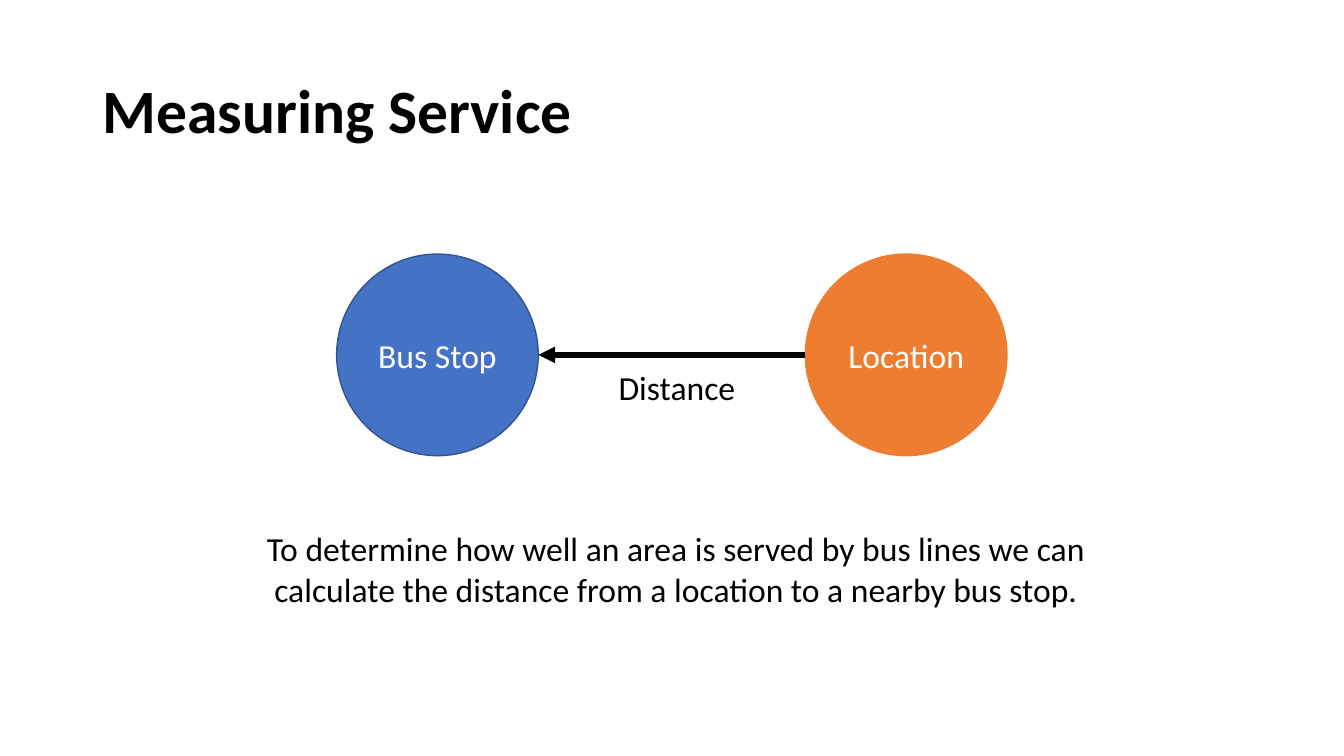
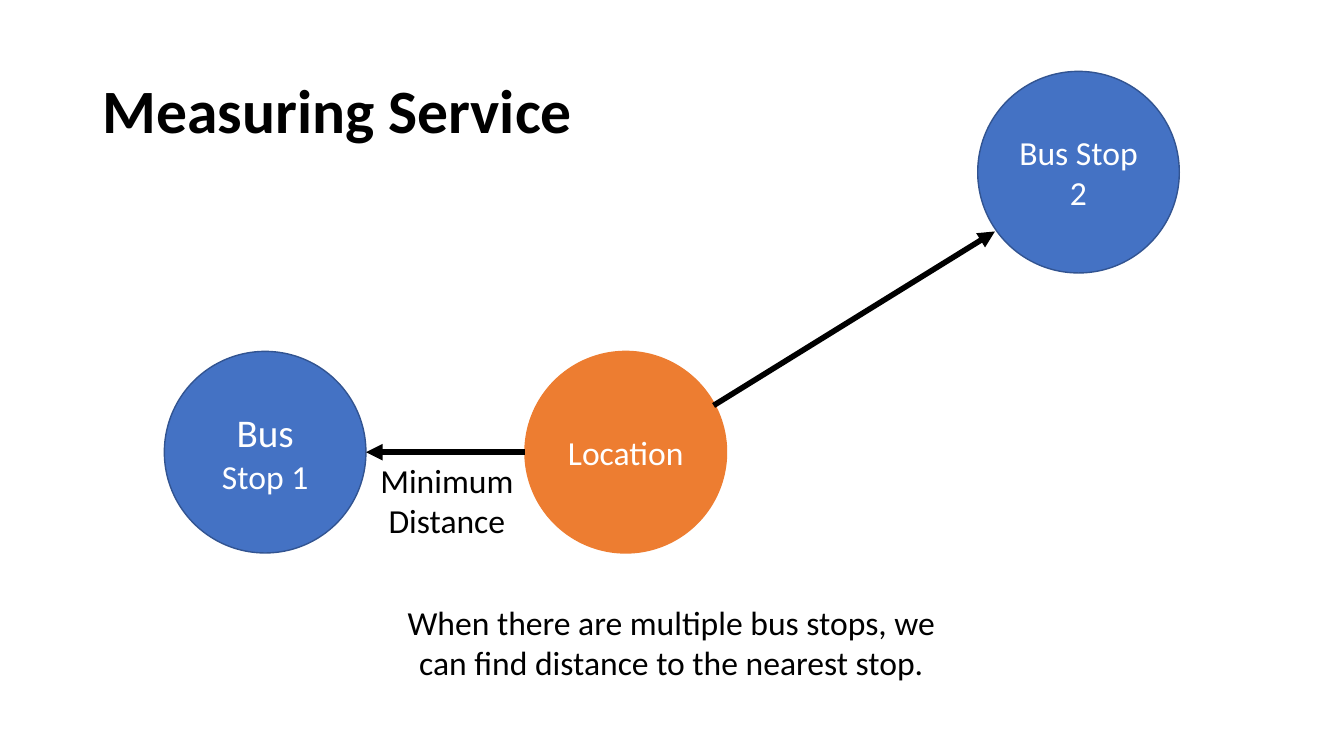
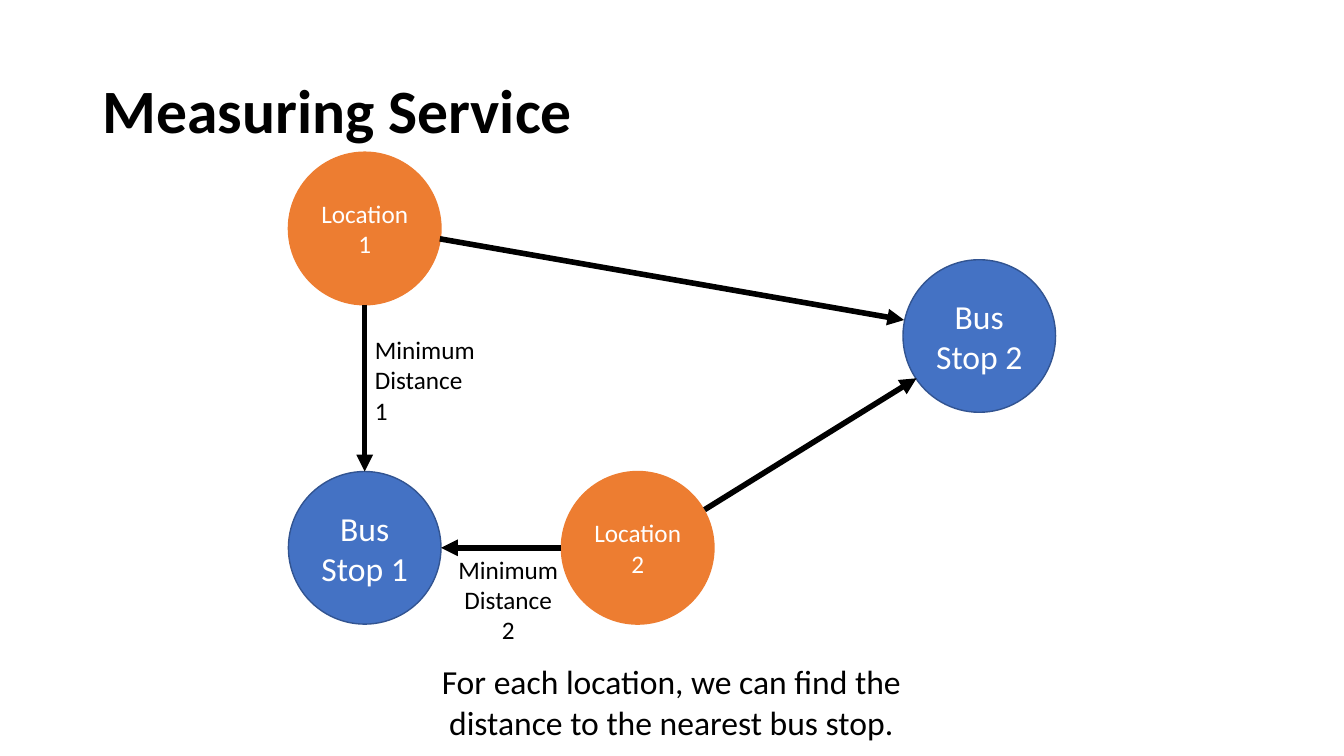
import math

import pptx
import pptx.util
import pptx.dml.color
import pptx.enum.shapes
import pptx.enum.text
import pptx.oxml
import pptx.oxml.ns
from pptx.util import Pt

FONT = "Calibri"
TITLE = "Measuring Service"
TITLE_BOX = (66, 28.8, 828, 104.4)
COLOURS = {
    "text": "000000",
    "on_fill": "FFFFFF",
    "stop": "4472C4",
    "stop_line": "325491",
    "location": "ED7D31",
    "location_line": "ED7D31",
}
ALIGN = pptx.enum.text.PP_ALIGN
ANCHOR = pptx.enum.text.MSO_ANCHOR

# Content: circles are (kind, left, top, size, text); a text may be a list of (text, size) runs.
# Links are (location, stop, (shift right, shift down)); labels are (box, size, align, wrap, text).
SLIDES = [
    {
        "diameter": 144,
        "circles": {
            "stop": ("stop", 240.5, 181.5, 24, "Bus Stop"),
            "location": ("location", 575.3, 181.5, 24, "Location"),
        },
        "links": [("location", "stop", (0, 0))],
        "labels": [((434, 258.5, 99, 36), 24, ALIGN.CENTER, False, "Distance")],
        "caption": ((180.7, 373.7, 604, 65.5),
                    "To determine how well an area is served by bus lines we can calculate "
                    "the distance from a location to a nearby bus stop."),
    },
    {
        "diameter": 144,
        "circles": {
            "stop 2": ("stop", 698.4, 51, 24, "Bus Stop 2"),
            "location": ("location", 375, 251, 24, "Location"),
            "stop 1": ("stop", 117.4, 251, 24, [("Bus", 28), (" Stop 1", 24)]),
        },
        "links": [("location", "stop 1", (0, 0)), ("location", "stop 2", (1.5, 4.5))],
        "labels": [((264.2, 324.7, 110, 65.5), 24, ALIGN.CENTER, False, "Minimum\nDistance")],
        "caption": ((269.3, 426.2, 420.5, 65.5),
                    "When there are multiple bus stops, we can find distance to the nearest stop."),
    },
    {
        "diameter": 109,
        "circles": {
            "stop 2": ("stop", 645, 185.5, 24, "Bus Stop 2"),
            "location 2": ("location", 401, 336.8, 18, "Location 2"),
            "stop 1": ("stop", 206, 336.8, 24, "Bus Stop 1"),
            "location 1": ("location", 206, 108.7, 18, "Location 1"),
        },
        "links": [
            ("location 1", "stop 1", (0, 0)),
            ("location 1", "stop 2", (0, -2)),
            ("location 2", "stop 1", (0, 0)),
            ("location 2", "stop 2", (1.5, 1.5)),
        ],
        "labels": [
            ((319.5, 392.3, 87, 70), 18, ALIGN.CENTER, True, "Minimum\nDistance 2"),
            ((260.7, 235.3, 87, 70), 18, ALIGN.LEFT, True, "Minimum\nDistance 1"),
        ],
        "caption": ((269.3, 468.7, 420.5, 65.5),
                    "For each location, we can find the distance to the nearest bus stop."),
    },
]


def colour(name):
    return pptx.dml.color.RGBColor.from_string(COLOURS[name])


def write(text_frame, text, size=24, color="text", bold=False, align=ALIGN.CENTER,
          anchor=ANCHOR.TOP, wrap=True, spacing=1.0):
    """Fill one paragraph with a string or a list of (text, size) runs."""
    text_frame.word_wrap = wrap
    text_frame.vertical_anchor = anchor
    paragraph = text_frame.paragraphs[0]
    paragraph.alignment = align
    paragraph.line_spacing = spacing
    for part, part_size in [(text, size)] if isinstance(text, str) else text:
        for index, line in enumerate(part.split("\n")):
            if index:
                paragraph.add_line_break()
            run = paragraph.add_run()
            run.text = line
            run.font.name = FONT
            run.font.size = Pt(part_size)
            run.font.bold = bold
            run.font.color.rgb = colour(color)


def add_label(slide, box, text, **text_format):
    shape = slide.shapes.add_textbox(*map(Pt, box))
    write(shape.text_frame, text, **text_format)


def add_circle(slide, diameter, kind, left, top, size, text):
    shape = slide.shapes.add_shape(pptx.enum.shapes.MSO_SHAPE.OVAL,
                                   *map(Pt, (left, top, diameter, diameter)))
    shape.shadow.inherit = False
    shape.fill.solid()
    shape.fill.fore_color.rgb = colour(kind)
    shape.line.color.rgb = colour(kind + "_line")
    shape.line.width = Pt(1)
    write(shape.text_frame, text, size=size, color="on_fill", anchor=ANCHOR.MIDDLE)


def add_arrow(slide, diameter, location, stop, shift):
    """Draw an arrow between two circles, along the line of their centres."""
    radius = diameter / 2
    start_x, start_y = (value + radius + move for value, move in zip(location[1:3], shift))
    end_x, end_y = (value + radius + move for value, move in zip(stop[1:3], shift))
    length = math.hypot(end_x - start_x, end_y - start_y)
    trim_x = (end_x - start_x) / length * radius
    trim_y = (end_y - start_y) / length * radius
    connector = slide.shapes.add_connector(
        pptx.enum.shapes.MSO_CONNECTOR.STRAIGHT,
        *map(Pt, (start_x + trim_x, start_y + trim_y, end_x - trim_x, end_y - trim_y)))
    connector.line.color.rgb = colour("text")
    connector.line.width = Pt(4)
    head = pptx.oxml.parse_xml(
        f'<a:tailEnd {pptx.oxml.ns.nsdecls("a")} type="triangle"/>')
    connector.line._get_or_add_ln().append(head)
    no_shadow = pptx.oxml.parse_xml(f'<a:effectLst {pptx.oxml.ns.nsdecls("a")}/>')
    connector._element.spPr.append(no_shadow)


def place(shape, box):
    shape.left, shape.top, shape.width, shape.height = map(Pt, box)


def main():
    presentation = pptx.Presentation()
    presentation.slide_width, presentation.slide_height = Pt(960), Pt(540)
    layout = presentation.slide_layouts[5]
    place(layout.placeholders[0], TITLE_BOX)

    for content in SLIDES:
        slide = presentation.slides.add_slide(layout)
        diameter, circles = content["diameter"], content["circles"]
        write(slide.shapes.title.text_frame, TITLE, size=44, bold=True,
              align=ALIGN.LEFT, anchor=ANCHOR.MIDDLE, spacing=0.9)

        # Diagram
        for circle in circles.values():
            add_circle(slide, diameter, *circle)
        for location, stop, shift in content["links"]:
            add_arrow(slide, diameter, circles[location], circles[stop], shift)
        for box, size, align, wrap, text in content["labels"]:
            add_label(slide, box, text, size=size, align=align, wrap=wrap)

        # Caption
        add_label(slide, *content["caption"])

    presentation.save("out.pptx")


if __name__ == "__main__":
    main()
